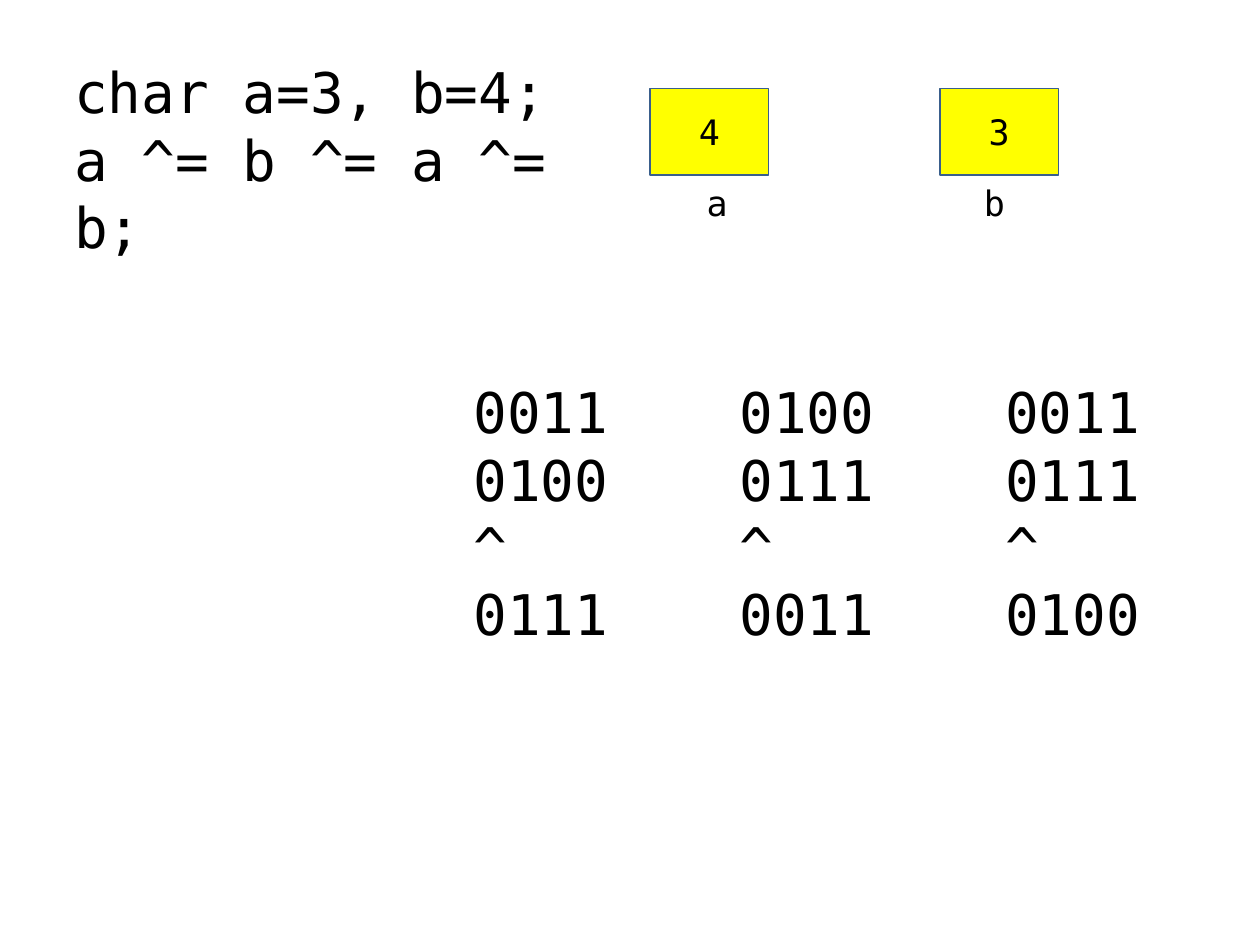
from pptx import Presentation
from pptx.dml.color import RGBColor
from pptx.enum.shapes import MSO_SHAPE
from pptx.enum.text import MSO_ANCHOR, MSO_AUTO_SIZE, PP_ALIGN
from pptx.util import Inches, Pt

RECTANGLE = MSO_SHAPE.RECTANGLE
MIDDLE = MSO_ANCHOR.MIDDLE
GROW = MSO_AUTO_SIZE.SHAPE_TO_FIT_TEXT
LEFT, CENTER = PP_ALIGN.LEFT, PP_ALIGN.CENTER

BLACK = RGBColor(0x00, 0x00, 0x00)
YELLOW = RGBColor(0xFF, 0xFF, 0x00)
BLUE = RGBColor(0x3A, 0x5F, 0x8C)


class CodeSlide:
    font_name = "DejaVu Sans Mono"
    code_size = 32
    label_size = 20

    def __init__(self, presentation):
        self.slide = presentation.slides.add_slide(presentation.slide_layouts[6])

    def add_lines(self, frame, lines, size, align):
        for index, line in enumerate(lines):
            paragraph = frame.add_paragraph() if index else frame.paragraphs[0]
            paragraph.alignment = align
            run = paragraph.add_run()
            run.text = line
            run.font.name = self.font_name
            run.font.size = Pt(size)
            run.font.color.rgb = BLACK

    def add_text(self, left, top, width, height, lines, size):
        box = self.slide.shapes.add_textbox(
            Inches(left), Inches(top), Inches(width), Inches(height))
        frame = box.text_frame
        frame.word_wrap = True
        frame.auto_size = GROW
        self.add_lines(frame, lines, size, LEFT)

    def add_code(self, left, top, width, height, lines):
        self.add_text(left, top, width, height, lines, self.code_size)

    def add_label(self, left, top, name):
        self.add_text(left, top, 0.36, 0.44, [name], self.label_size)

    def add_memory_cell(self, left, top, value):
        cell = self.slide.shapes.add_shape(
            RECTANGLE, Inches(left), Inches(top), Inches(0.94), Inches(0.69))
        cell.shadow.inherit = False
        cell.fill.solid()
        cell.fill.fore_color.rgb = YELLOW
        cell.line.color.rgb = BLUE
        cell.line.width = Pt(0.75)
        cell.text_frame.vertical_anchor = MIDDLE
        self.add_lines(cell.text_frame, [value], self.label_size, CENTER)


def main():
    presentation = Presentation()
    presentation.slide_width = Inches(10)
    presentation.slide_height = Inches(7.5)
    swap = CodeSlide(presentation)

    swap.add_code(0.49, 0.41, 4.4, 1.18, ["char a=3, b=4;", "a ^= b ^= a ^= b;"])

    variables = [("a", "4", 5.16, 5.51), ("b", "3", 7.46, 7.71)]
    for name, value, cell_left, name_left in variables:
        swap.add_memory_cell(cell_left, 0.7, value)
        swap.add_label(name_left, 1.39, name)

    xor_steps = [
        ("0011", "0100", "0111"),
        ("0100", "0111", "0011"),
        ("0011", "0111", "0100"),
    ]
    for step, (target, operand, result) in enumerate(xor_steps):
        swap.add_code(3.66 + step * 2.11, 2.95, 1.69, 1.72,
                      [target, f"{operand} ^", result])

    presentation.save("out.pptx")


if __name__ == "__main__":
    main()
